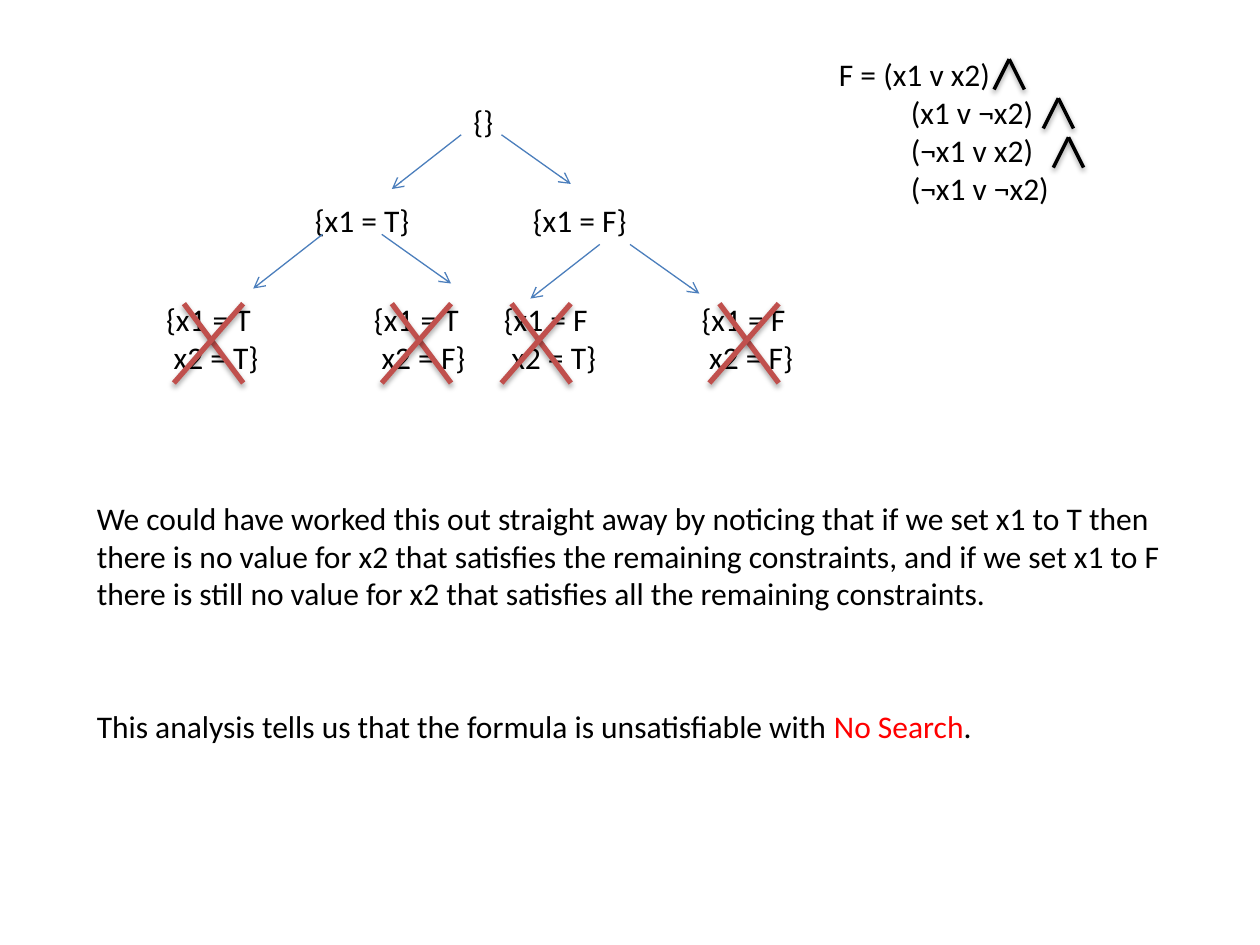
import pptx
import pptx.util
import pptx.dml.color
import pptx.enum.shapes
import pptx.enum.text
import lxml.etree
from pptx.util import Inches, Pt

BLACK, RED, BLUE, BRICK = "000000", "FF0000", "4B7EBC", "C0504D"
NS = "http://schemas.openxmlformats.org/drawingml/2006/main"


def color(code):
    """Turn a hex string into a colour."""
    return pptx.dml.color.RGBColor.from_string(code)


def apply(target, values):
    """Set attributes from a dict."""
    for name, value in values.items():
        setattr(target, name, value)


def node(parent, tag, **attrs):
    """Add a drawing element with attributes."""
    return lxml.etree.SubElement(parent, f"{{{NS}}}{tag}", attrs)


class Deck:
    """Holds the style and the current slide."""

    font = {"name": "Calibri", "size": Pt(18)}

    def __init__(self):
        """Start a deck with one blank slide."""
        self.prs = pptx.Presentation()
        apply(self.prs, {"slide_width": Inches(10), "slide_height": Inches(7.5)})
        self.slide = self.prs.slides.add_slide(self.prs.slide_layouts[6])

    def text(self, left, top, width, height, lines, wrap=False, indent=0):
        """Add text; lines are lists of (words, colour), indented after the first."""
        box = self.slide.shapes.add_textbox(*map(Inches, (left, top, width, height)))
        frame = box.text_frame
        apply(frame, {"word_wrap": wrap,
                      "auto_size": pptx.enum.text.MSO_AUTO_SIZE.SHAPE_TO_FIT_TEXT})
        for row, runs in enumerate(lines):
            para = frame.add_paragraph() if row else frame.paragraphs[0]
            if row and indent:
                para._p.get_or_add_pPr().set("marL", str(Inches(indent)))
            for words, code in runs:
                run = para.add_run()
                run.text = words
                apply(run.font, self.font)
                run.font.color.rgb = color(code)

    def line(self, start, end, code, width, arrow=False, shade=0, drop=1.8, home=None):
        """Add a line with an optional arrowhead or shadow of some percent."""
        shapes = (home or self.slide).shapes
        line = shapes.add_connector(pptx.enum.shapes.MSO_CONNECTOR.STRAIGHT,
                                    *map(Inches, (*start, *end)))
        line.line.color.rgb = color(code)
        line.line.width = Pt(width)
        if arrow:
            node(line.line._get_or_add_ln(), "tailEnd", type="arrow")
        effect = node(line._element.spPr, "effectLst")
        if shade:
            shadow = node(effect, "outerShdw", blurRad=str(Pt(3.1)), dist=str(Pt(drop)),
                          dir="5400000", rotWithShape="0")
            tint = node(shadow, "srgbClr", val=BLACK)
            node(tint, "alpha", val=str(shade * 1000))

    def fork(self, left, right, top):
        """Add the two arrows from a tree node to its children."""
        for x, dx, dy in ((left, -0.55, 0.43), (right, 0.55, 0.39)):
            self.line((x, top), (x + dx, top + dy), BLUE, 0.75, arrow=True)

    def cross(self, left, top=2.41, low=3.04):
        """Strike out a leaf."""
        right = left + 0.55
        for start, end in ((left + 0.08, right), (right, left)):
            self.line((start, top), (end, low), BRICK, 3, shade=35)

    def wedge(self, left, top):
        """Add a logical-and sign."""
        group = self.slide.shapes.add_group_shape()
        peak = (left + 0.12, top)
        for start, end in (((left, top + 0.24), peak), (peak, (left + 0.24, top + 0.24))):
            self.line(start, end, BLACK, 2, shade=38, drop=1.6, home=group)


deck = Deck()

for left, top, width, words in ((3.66, 0.76, 0.36, "{}"),
                                (2.4, 1.55, 0.96, "{x1 = T}"),
                                (4.13, 1.55, 0.95, "{x1 = F}")):
    deck.text(left, top, width, 0.4, [[(words, BLACK)]])
for fork in ((3.66, 3.98, 1.07), (2.56, 3.03, 1.86), (4.76, 5, 1.94)):
    deck.fork(*fork)

for left, mark, first, second in ((1.22, 1.38, "T", "T"), (2.87, 3.03, "T", "F"),
                                  (3.9, 3.98, "F", "T"), (5.47, 5.63, "F", "F")):
    deck.text(left, 2.33, 0.94, 0.71,
              [[(f"{{x1 = {first}", BLACK)], [(f"x2 = {second}}}", BLACK)]], indent=0.06)
    deck.cross(mark)

deck.text(0.67, 3.91, 8.82, 1.01, [[(
    "We could have worked this out straight away by noticing that if we set x1 to T "
    "then there is no value for x2 that satisfies the remaining constraints, and if we "
    "set x1 to F there is still no value for x2 that satisfies all the remaining "
    "constraints.", BLACK)]], wrap=True)
deck.text(0.67, 5.56, 7.16, 0.4, [[
    ("This analysis tells us that the formula is unsatisfiable with ", BLACK),
    ("No Search", RED), (".", BLACK)]])

clauses = ("F = (x1 v x2)", "(x1 v ¬x2)", "(¬x1 v x2)", "(¬x1 v ¬x2)")
deck.text(6.56, 0.39, 2.81, 1.31, [[(clause, BLACK)] for clause in clauses],
          wrap=True, indent=0.57)
for left, top in ((7.89, 0.47), (8.28, 0.78), (8.36, 1.09)):
    deck.wedge(left, top)

deck.prs.save("out.pptx")
